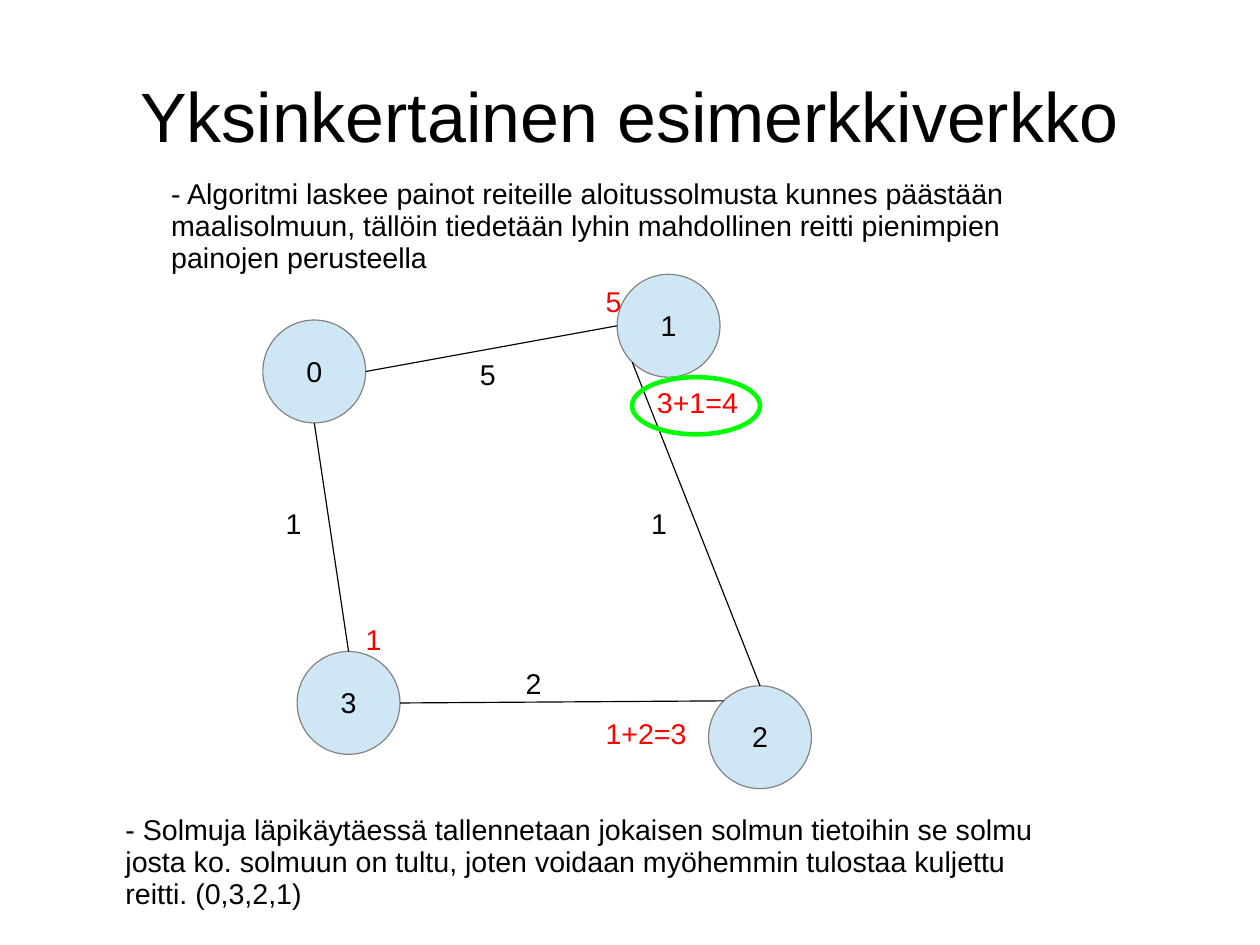
from dataclasses import dataclass
from math import cos, radians, sin
from typing import Optional

from lxml import etree
from pptx import Presentation
from pptx import util as u
from pptx.dml.color import RGBColor
from pptx.enum import shapes, text
from pptx.oxml.ns import qn

BLACK, RED, GREEN = "000000", "FF0000", "00FF00"
NODE_FILL, NODE_LINE = "CFE7F5", "808080"
DIAMETER = 0.9


@dataclass
class Node:
    label: str
    left: float
    top: float

    def rim(self, degrees: float) -> tuple[float, float]:
        radius = DIAMETER / 2
        angle = radians(degrees)
        return (self.left + radius + radius * cos(angle),
                self.top + radius - radius * sin(angle))


@dataclass
class Edge:
    start: Node
    start_angle: float
    end: Node
    end_angle: float


@dataclass
class Label:
    words: str
    left: float
    top: float
    width: float
    height: float = 0.38
    color: str = BLACK
    inset_top: float = 0.07


def rgb(color: str) -> RGBColor:
    return RGBColor.from_string(color)


def apply(target, values: dict) -> None:
    for name, value in values.items():
        setattr(target, name, value)


def write(frame, words: str, color: str = BLACK, size: float = 18,
          align=text.PP_ALIGN.LEFT, **frame_values) -> None:
    apply(frame, frame_values)
    paragraph = frame.paragraphs[0]
    apply(paragraph, {"alignment": align, "line_spacing": 0.93,
                      "space_before": u.Pt(0)})
    run = paragraph.add_run()
    run.text = words
    apply(run.font, {"name": "Arial", "size": u.Pt(size), "bold": False})
    run.font.color.rgb = rgb(color)


def insets(left: float, top: float, right: float, bottom: float) -> dict:
    return {"margin_left": u.Inches(left), "margin_top": u.Inches(top),
            "margin_right": u.Inches(right), "margin_bottom": u.Inches(bottom)}


def draw_oval(slide, left: float, top: float, width: float, height: float,
              line: str, weight: float, fill: Optional[str] = None):
    oval = slide.shapes.add_shape(shapes.MSO_SHAPE.OVAL, u.Inches(left), u.Inches(top),
                                  u.Inches(width), u.Inches(height))
    oval.shadow.inherit = False
    if fill:
        oval.fill.solid()
        oval.fill.fore_color.rgb = rgb(fill)
    else:
        oval.fill.background()
    oval.line.color.rgb = rgb(line)
    oval.line.width = u.Pt(weight)
    return oval


def draw_node(slide, node: Node) -> None:
    circle = draw_oval(slide, node.left, node.top, DIAMETER, DIAMETER,
                       NODE_LINE, 0.75, NODE_FILL)
    write(circle.text_frame, node.label, align=text.PP_ALIGN.CENTER, word_wrap=False,
          vertical_anchor=text.MSO_ANCHOR.MIDDLE, **insets(0.1, 0.07, 0.1, 0.05))


def draw_edge(slide, edge: Edge) -> None:
    ends = (*edge.start.rim(edge.start_angle), *edge.end.rim(edge.end_angle))
    link = slide.shapes.add_connector(shapes.MSO_CONNECTOR.STRAIGHT,
                                      *(u.Inches(value) for value in ends))
    link.line.color.rgb = rgb(BLACK)
    link.line.width = u.Pt(0.75)
    etree.SubElement(link.element.spPr, qn("a:effectLst"))


def draw_label(slide, label: Label) -> None:
    box = slide.shapes.add_textbox(u.Inches(label.left), u.Inches(label.top),
                                   u.Inches(label.width), u.Inches(label.height))
    write(box.text_frame, label.words, label.color, word_wrap=True,
          **insets(0.1, label.inset_top, 0.1, 0.05))


def main() -> None:
    deck = Presentation()
    apply(deck, {"slide_width": u.Emu(10080625), "slide_height": u.Emu(7559675)})
    slide = deck.slides.add_slide(deck.slide_layouts[5])

    heading = slide.shapes.title
    apply(heading, {"left": u.Inches(0.55), "top": u.Inches(0.33),
                    "width": u.Inches(9.92), "height": u.Inches(1.38)})
    write(heading.text_frame, "Yksinkertainen esimerkkiverkko", size=44,
          align=text.PP_ALIGN.CENTER, word_wrap=True, auto_size=text.MSO_AUTO_SIZE.NONE,
          vertical_anchor=text.MSO_ANCHOR.MIDDLE, **insets(0, 0.04, 0, 0))

    start = Node("0", 2.3, 2.8)
    third = Node("3", 2.6, 5.7)
    goal = Node("1", 5.4, 2.4)
    second = Node("2", 6.2, 6)
    for node in (start, third, goal, second):
        draw_node(slide, node)

    for edge in (Edge(start, 270, third, 90), Edge(third, 0, second, 135),
                 Edge(second, 90, goal, 225), Edge(start, 0, goal, 180)):
        draw_edge(slide, edge)

    algorithm_note = Label(
        "- Algoritmi laskee painot reiteille aloitussolmusta kunnes päästään "
        "maalisolmuun, tällöin tiedetään lyhin mahdollinen reitti pienimpien "
        "painojen perusteella", 1.4, 1.5, 8.4, 0.94)
    route_costs = [
        Label("5", 5.2, 2.44, 0.4, color=RED),
        Label("1", 3.1, 5.4, 0.4, color=RED),
        Label("1+2=3", 5.2, 6.22, 1, color=RED),
        Label("3+1=4", 5.65, 3.32, 1, color=RED),
    ]
    for label in (algorithm_note, *route_costs):
        draw_label(slide, label)

    draw_oval(slide, 5.53, 3.3, 1.12, 0.5, GREEN, 2.89)

    route_note = Label(
        "- Solmuja läpikäytäessä tallennetaan jokaisen solmun tietoihin se solmu "
        "josta ko. solmuun on tultu, joten voidaan myöhemmin tulostaa kuljettu "
        "reitti. (0,3,2,1)", 1, 7.06, 8.4, 0.94)
    edge_weights = [
        Label("1", 2.4, 4.4, 0.5, inset_top=0.05),
        Label("1", 5.6, 4.4, 0.5, inset_top=0.05),
        Label("2", 4.5, 5.8, 0.6, inset_top=0.05),
        Label("5", 4.1, 3.1, 0.2, 1.83, inset_top=0.05),
    ]
    for label in (route_note, *edge_weights):
        draw_label(slide, label)

    deck.save("out.pptx")


if __name__ == "__main__":
    main()
